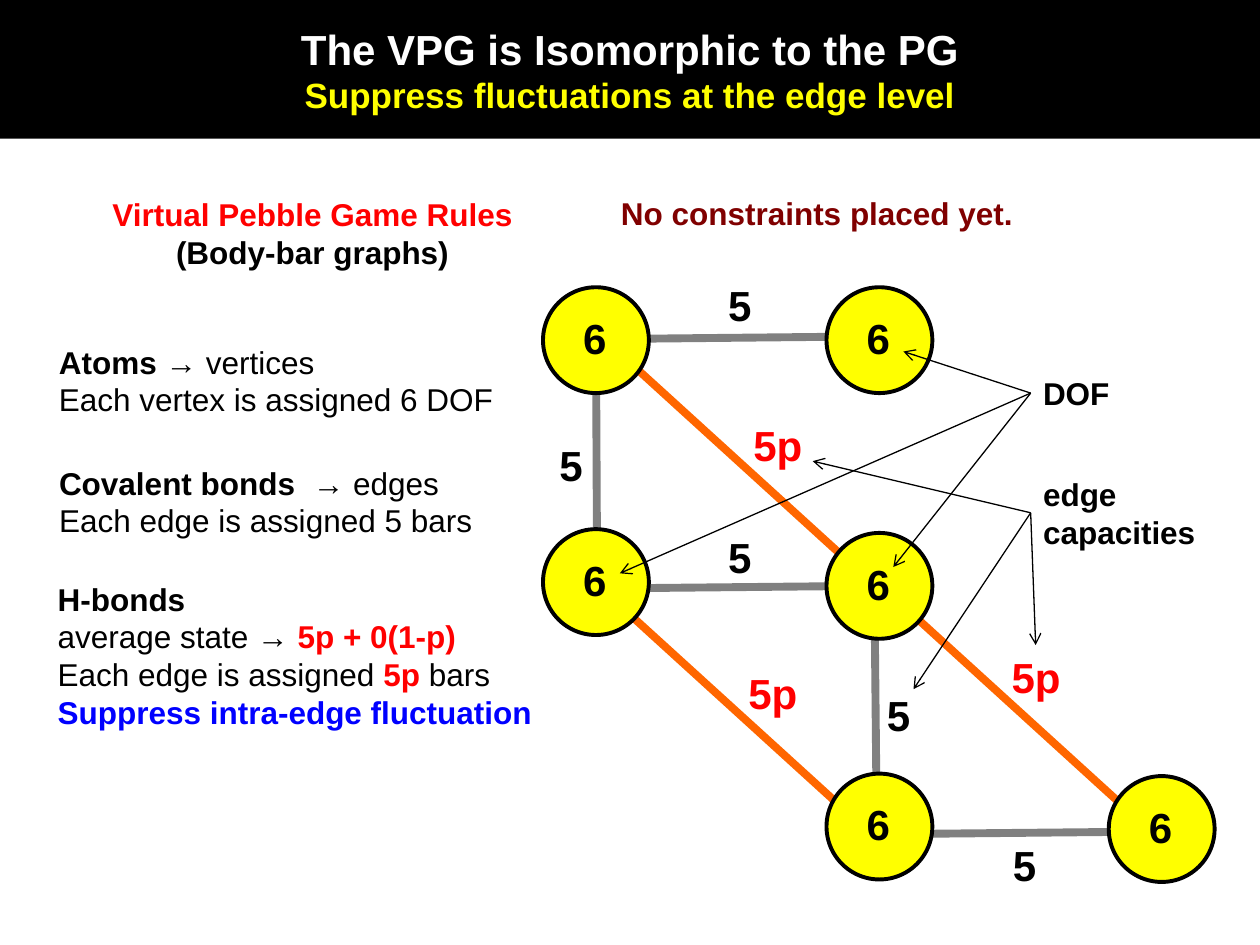
"""Build a slide on the virtual pebble game: rules beside a body-bar graph."""
from lxml.etree import SubElement
from pptx import Presentation
from pptx.dml.color import RGBColor
from pptx.enum.shapes import MSO_CONNECTOR as Connector, MSO_SHAPE as Shape
from pptx.enum.text import MSO_ANCHOR as Anchor, MSO_AUTO_SIZE as AutoSize, PP_ALIGN as Align
from pptx.oxml.ns import qn
from pptx.util import Inches, Pt

BLACK, WHITE, YELLOW, RED = "000000", "FFFFFF", "FFFF00", "FF0000"
BLUE, MAROON, ORANGE, GRAY = "0000FF", "800000", "FF6600", "808080"

TITLE = [("The VPG is Isomorphic to the PG", 24, WHITE),
         ("Suppress fluctuations at the edge level", 20, YELLOW)]

HEADING = [[("Virtual Pebble Game Rules", RED, True)],
           [("(Body-bar graphs)", BLACK, True)]]
RULES = [
    ((0.37, 2.67, 3.7, 0.71), [
        [("Atoms ", BLACK, True), ("→ vertices", BLACK, False)],
        [("Each vertex is assigned 6 DOF", BLACK, False)]]),
    ((0.37, 3.63, 3.51, 0.71), [
        [("Covalent bonds  ", BLACK, True), ("→ edges", BLACK, False)],
        [("Each edge is assigned 5 bars", BLACK, False)]]),
    ((0.36, 4.55, 4, 1.31), [
        [("H-bonds", BLACK, True)],
        [("average state → ", BLACK, False), ("5p + 0(1-p)", RED, True)],
        [("Each edge is assigned ", BLACK, False), ("5p", RED, True), (" bars", BLACK, False)],
        [("Suppress intra-edge fluctuation", BLUE, True)]]),
]

HBOND_STARTS = [(7.06, 4.71), (4.87, 4.76), (4.87, 2.76)]
HBOND_SPAN = (2.11, 1.92)
COVALENT_BONDS = [
    ((4.85, 4.67), (6.86, 4.65)),
    ((7.11, 6.62), (9.12, 6.6)),
    ((6.96, 6.69), (6.94, 4.68)),
    ((4.93, 2.69), (6.93, 2.67)),
    ((4.74, 4.72), (4.73, 2.71)),
]
VERTICES = [(6.56, 6.14), (6.56, 2.28), (4.31, 2.28), (8.8, 6.16), (4.31, 4.2), (6.56, 4.23)]
VERTEX_SIZE = 0.84
DOF_OFFSET = (0.22, 0.15)
CAPACITIES = {
    ("5", BLACK, 0.39): [(5.68, 4.17), (4.34, 3.44), (6.94, 5.42), (7.94, 6.61), (5.68, 2.17)],
    ("5p", RED, 0.59): [(7.93, 5.12), (5.84, 5.25), (5.88, 3.28)],
}
CALLOUTS = [
    ("edge capacities", (8.18, 3.72, 1.63, 0.71), True,
     (8.18, 4.07), [(7.25, 5.47), (8.22, 5.12), (6.45, 3.66)]),
    ("DOF", (8.18, 2.92, 0.73, 0.4), False,
     (8.18, 3.12), [(7.17, 2.79), (7.09, 4.5), (4.92, 4.55)]),
]


def rgb(color):
    return RGBColor.from_string(color)


def style(run, size, color, bold=True):
    run.font.name, run.font.size, run.font.bold = "Arial", Pt(size), bold
    run.font.color.rgb = rgb(color)


def add_text(slide, box, paragraphs, size=18, align=Align.LEFT, wrap=False):
    frame = slide.shapes.add_textbox(*map(Inches, box)).text_frame
    frame.word_wrap, frame.auto_size = wrap, AutoSize.SHAPE_TO_FIT_TEXT
    for number, parts in enumerate(paragraphs):
        paragraph = frame.add_paragraph() if number else frame.paragraphs[0]
        paragraph.alignment = align
        for words, color, bold in parts:
            run = paragraph.add_run()
            run.text = words
            style(run, size, color, bold)


def add_line(slide, start, end, color, width, arrow=False):
    line = slide.shapes.add_connector(Connector.STRAIGHT, *map(Inches, (*start, *end)))
    line.line.color.rgb, line.line.width = rgb(color), Pt(width)
    if arrow:
        SubElement(line.line._get_or_add_ln(), qn("a:tailEnd"), type="arrow")
    SubElement(line._element.spPr, qn("a:effectLst"))


def add_title(slide):
    banner = slide.shapes.title
    banner.left, banner.top, banner.width, banner.height = map(Inches, (0, 0, 10, 1.1))
    banner.fill.solid()
    banner.fill.fore_color.rgb = rgb(BLACK)
    frame = banner.text_frame
    frame.text = "\n".join(words for words, _, _ in TITLE)
    frame.auto_size, frame.vertical_anchor = AutoSize.NONE, Anchor.MIDDLE
    for paragraph, (_, size, color) in zip(frame.paragraphs, TITLE):
        paragraph.alignment = Align.CENTER
        style(paragraph.runs[0], size, color)


def add_vertex(slide, corner):
    vertex = slide.shapes.add_shape(
        Shape.OVAL, *map(Inches, (*corner, VERTEX_SIZE, VERTEX_SIZE)))
    vertex.shadow.inherit = False
    vertex.fill.solid()
    vertex.fill.fore_color.rgb = rgb(YELLOW)
    vertex.line.color.rgb, vertex.line.width = rgb(BLACK), Pt(2.25)


def add_graph(slide):
    for x, y in HBOND_STARTS:
        add_line(slide, (x, y), (x + HBOND_SPAN[0], y + HBOND_SPAN[1]), ORANGE, 4.5)
    for start, end in COVALENT_BONDS:
        add_line(slide, start, end, GRAY, 4.5)
    for corner in VERTICES:
        add_vertex(slide, corner)
    dof_corners = [(x + DOF_OFFSET[0], y + DOF_OFFSET[1]) for x, y in VERTICES]
    labels = {**CAPACITIES, ("6", BLACK, 0.39): dof_corners}
    for (words, color, width), corners in labels.items():
        for corner in corners:
            add_text(slide, (*corner, width, 0.5), [[(words, color, True)]], 24)


def main():
    deck = Presentation()
    deck.slide_width, deck.slide_height = Inches(10), Inches(7.5)
    slide = deck.slides.add_slide(deck.slide_layouts[5])
    add_title(slide)
    add_text(slide, (0.77, 1.5, 3.42, 0.71), HEADING, align=Align.CENTER)
    for box, paragraphs in RULES:
        add_text(slide, box, paragraphs)
    add_graph(slide)
    add_text(slide, (4.83, 1.49, 3.39, 0.4), [[("No constraints placed yet.", MAROON, True)]])
    for words, box, wrap, origin, targets in CALLOUTS:
        add_text(slide, box, [[(words, BLACK, True)]], wrap=wrap)
        for target in targets:
            add_line(slide, origin, target, BLACK, 0.75, arrow=True)
    deck.save("out.pptx")


if __name__ == "__main__":
    main()
